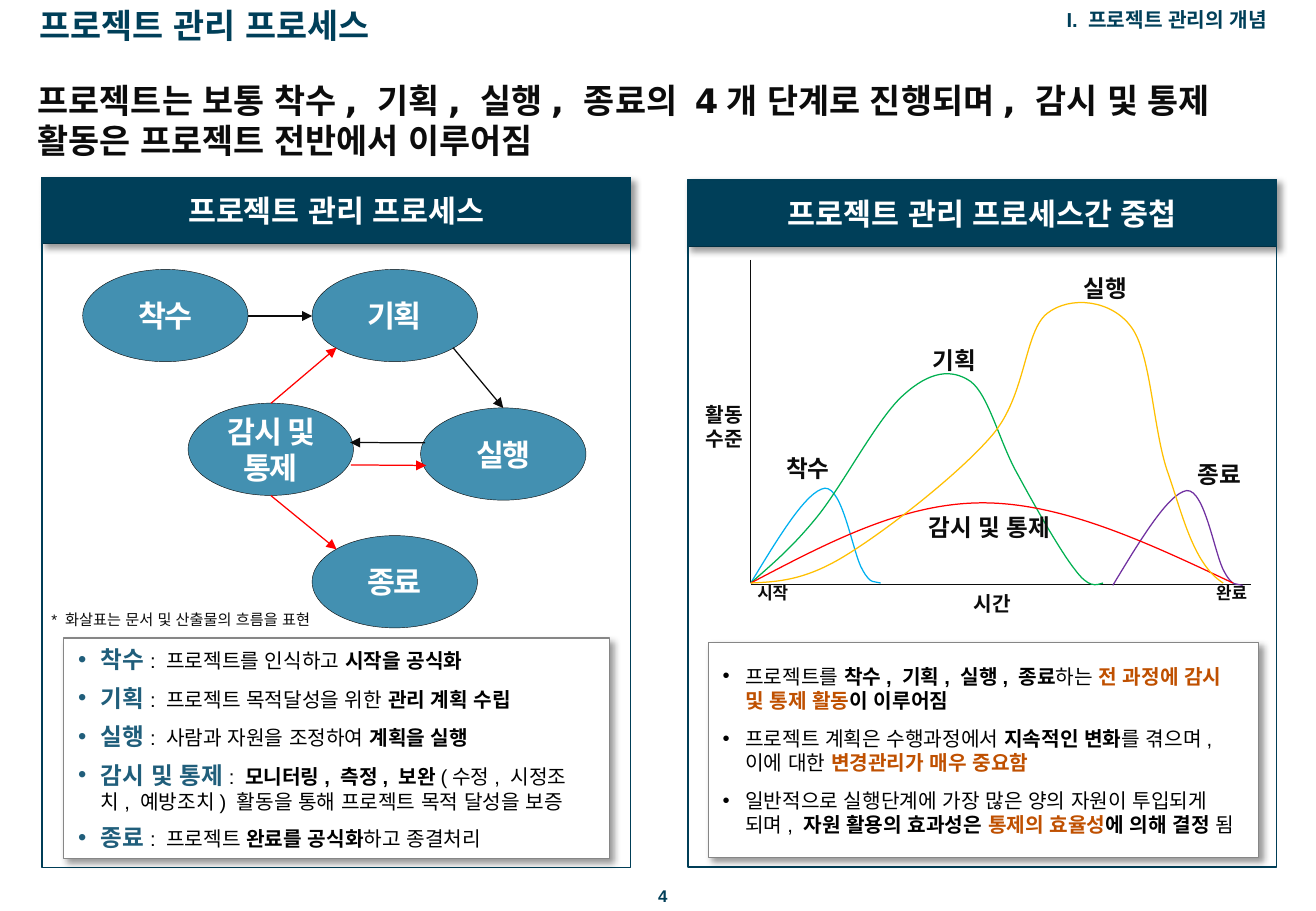
import pptx
import pptx.util
import pptx.dml.color
import pptx.enum.shapes
import pptx.enum.text
from lxml import etree

Pt = pptx.util.Pt
SHAPE = pptx.enum.shapes.MSO_SHAPE
ALIGN = pptx.enum.text.PP_ALIGN
ANCHOR = pptx.enum.text.MSO_ANCHOR
DRAWING = "{http://schemas.openxmlformats.org/drawingml/2006/main}"
KOREAN, LATIN = "Noto Sans CJK KR", "Arial"
NAVY, TEAL, ORANGE = "003F59", "205E7B", "BF5000"
INK, BLACK, WHITE, RED = "0C0C0C", "000000", "FFFFFF", "FF0000"


def color(value):
    return pptx.dml.color.RGBColor.from_string(value)


def add_xml(parent, tag, **attributes):
    return etree.SubElement(parent, DRAWING + tag, attributes)


def style(shape, fill, line, width, shadow=False):
    if fill:
        shape.fill.solid()
        shape.fill.fore_color.rgb = color(fill)
    else:
        shape.fill.background()
    shape.line.color.rgb = color(line)
    shape.line.width = Pt(width)
    shape.shadow.inherit = False
    if shadow:
        effects = shape._element.spPr.find(DRAWING + "effectLst")
        outer = add_xml(effects, "outerShdw", blurRad=str(Pt(4)), dist=str(Pt(3)),
                        dir="2700000", algn="tl", rotWithShape="0")
        add_xml(add_xml(outer, "srgbClr", val=BLACK), "alpha", val="40000")


def add_run(paragraph, text, size, font, ink, bold):
    run = paragraph.add_run()
    run.text = text
    run.font.size, run.font.name, run.font.bold = Pt(size), font, bold
    run.font.color.rgb = color(ink)
    run.font.language_id = pptx.enum.lang.MSO_LANGUAGE_ID.KOREAN
    add_xml(run.font._element, "ea", typeface=LATIN)
    return run


def set_frame(shape, anchor, inset_x=0, inset_y=0):
    frame = shape.text_frame
    frame.word_wrap = True
    frame.vertical_anchor = anchor
    frame.margin_left = frame.margin_right = Pt(inset_x)
    frame.margin_top = frame.margin_bottom = Pt(inset_y)
    return frame


def write(shape, text, size, font=KOREAN, ink=INK, bold=True, align=ALIGN.CENTER,
          anchor=ANCHOR.MIDDLE, inset_x=0, inset_y=0):
    paragraph = set_frame(shape, anchor, inset_x, inset_y).paragraphs[0]
    paragraph.alignment = align
    paragraph.line_spacing = Pt(size * 1.19)
    return add_run(paragraph, text, size, font, ink, bold)


def add_text(slide, box, text, size, **options):
    write(slide.shapes.add_textbox(*map(Pt, box)), text, size, **options)


def add_line(slide, start, end, ink, arrow=False):
    line = slide.shapes.add_connector(
        pptx.enum.shapes.MSO_CONNECTOR.STRAIGHT, *map(Pt, start + end))
    line.line.color.rgb = color(ink)
    line.line.width = Pt(0.75)
    if arrow:
        add_xml(line.line._get_or_add_ln(), "tailEnd", type="triangle")
    add_xml(line._element.spPr, "effectLst")


def add_curve(slide, origin, knots, ink, shift=(0, 0)):
    """Draw chained cubic curves; knots are (right, up) from the origin."""
    points = [(Pt(origin[0] + shift[0] + x), Pt(origin[1] - shift[1] - y)) for x, y in knots]
    builder = slide.shapes.build_freeform(*points[0])
    builder.add_line_segments(points[1:], close=False)
    curve = builder.convert_to_shape()
    # Every three line ends become one cubic segment
    segments = list(curve._element.iter(DRAWING + "lnTo"))
    outline = segments[0].getparent()
    for first in range(0, len(segments), 3):
        cubic = add_xml(outline, "cubicBezTo")
        for segment in segments[first:first + 3]:
            cubic.append(segment[0])
            outline.remove(segment)
    style(curve, None, ink, 0.75)


def add_panel(slide, box, heading, header_height):
    left, top, width, height = box
    header = slide.shapes.add_shape(SHAPE.ROUNDED_RECTANGLE,
                                    *map(Pt, (left, top, width, header_height)))
    header.adjustments[0] = 0
    style(header, NAVY, "002F42", 1, shadow=True)
    write(header, heading, 18, ink=WHITE)
    style(slide.shapes.add_shape(SHAPE.RECTANGLE, *map(Pt, box)), None, "003E57", 1)


def add_notes_box(slide, box, items, gap, bullet_ink):
    """Each item is a list of (text, size, colour, bold) runs."""
    notes = slide.shapes.add_shape(SHAPE.RECTANGLE, *map(Pt, box))
    style(notes, WHITE, "868686", 0.75, shadow=True)
    frame = set_frame(notes, ANCHOR.MIDDLE, 8.5, 5.67)
    for index, item in enumerate(items):
        paragraph = frame.add_paragraph() if index else frame.paragraphs[0]
        paragraph.alignment = ALIGN.LEFT
        paragraph.space_before = Pt(gap)
        properties = paragraph._p.get_or_add_pPr()
        properties.set("marL", str(Pt(13.5)))
        properties.set("indent", str(-Pt(13.5)))
        properties.set("hangingPunct", "0")
        add_xml(add_xml(properties, "buClr"), "srgbClr", val=bullet_ink)
        add_xml(properties, "buFont", typeface=LATIN)
        add_xml(properties, "buChar", char="•")
        for text, size, ink, bold in item:
            add_run(paragraph, text, size, LATIN, ink, bold)


def plain(text):
    return text, 12, BLACK, False


def strong(text, ink=BLACK):
    return text, 12, ink, True


def term(text):
    return text, 14, TEAL, True


def draw_heading(slide, box):
    left, top, width, _ = box
    add_text(slide, (left + 16.2, top + 3.2, 426, 24.5), "프로젝트 관리 프로세스", 20, font=LATIN,
             ink=NAVY, align=ALIGN.LEFT, anchor=ANCHOR.TOP, inset_x=7.2)
    add_text(slide, (left + width - 313.5, top + 4.3, 291.6, 14.4), "I. 프로젝트 관리의 개념", 12,
             font=LATIN, ink=NAVY, align=ALIGN.RIGHT, anchor=ANCHOR.TOP, inset_x=7.2)
    add_text(slide, (left + 15.1, top + 44, 746, 55.4),
             "프로젝트는 보통 착수, 기획, 실행, 종료의 4개 단계로 진행되며, 감시 및 통제 활동은 "
             "프로젝트 전반에서 이루어짐", 20, font="DejaVu Sans", align=ALIGN.LEFT,
             anchor=ANCHOR.TOP, inset_x=7.2, inset_y=3.6)


def draw_process(slide, box):
    left, top = box[:2]
    add_panel(slide, box, "프로젝트 관리 프로세스", 39)

    # Stages
    for stage, x, y in (("착수", 24.2, 54.4), ("기획", 160.2, 54.4), ("감시 및 통제", 86.7, 133.7),
                        ("실행", 224.5, 136.5), ("종료", 160.2, 212.2)):
        oval = slide.shapes.add_shape(SHAPE.OVAL, *map(Pt, (left + x, top + y, 98, 54.7)))
        style(oval, "4390B1", INK, 0.25)
        write(oval, stage, 18, ink=WHITE).font._element.set("spc", "-100")

    # Document flows
    for x1, y1, x2, y2, ink in (
            (122.2, 82, 160.2, 82, INK), (227.2, 157.2, 182.7, 157, INK),
            (243.7, 100.8, 273.5, 136.6, INK), (135.8, 133.8, 174.7, 100.8, RED),
            (183.2, 170.3, 227.8, 170.6, RED), (135.8, 188.5, 174.7, 220.3, RED)):
        add_line(slide, (left + x1, top + y1), (left + x2, top + y2), ink, arrow=True)
    add_text(slide, (left, top + 253.8, 221, 16.6), "* 화살표는 문서 및 산출물의 흐름을 표현", 9,
             font=LATIN, bold=False, align=ALIGN.LEFT, inset_x=5.67, inset_y=2.8)

    # Stage definitions
    add_notes_box(slide, (left + 13, top + 272.8, 323.3, 131), [
        [term("착수"), plain(": 프로젝트를 인식하고 "), strong("시작을 공식화")],
        [term("기획"), plain(": 프로젝트 목적달성을 위한 "), strong("관리 계획 수립")],
        [term("실행"), plain(": 사람과 자원을 조정하여 "), strong("계획을 실행")],
        [term("감시 및 통제"), plain(": "), strong("모니터링, 측정, 보완"),
         plain("(수정, 시정조치, 예방조치) 활동을 통해 프로젝트 목적 달성을 보증")],
        [term("종료"), plain(": 프로젝트 "), strong("완료를 공식화"), plain("하고 종결처리")],
    ], 6, TEAL)


def draw_overlap(slide, box):
    left, top = box[:2]
    add_panel(slide, box, "프로젝트 관리 프로세스간 중첩", 39.5)

    # Axes
    x0, y0 = origin = (left + 37.3, top + 239)
    add_line(slide, (x0, y0 - 191.5), origin, INK)
    add_line(slide, (x0, y0 + 0.7), (x0 + 296.6, y0 + 0.7), INK)

    # Activity curves
    short_phase = [(0, 0), (16.6, 27.4), (33.1, 54.7), (43.9, 56.2), (54.7, 56.9),
                   (60.5, 17.3), (66.2, 7.9), (71.3, -1.4), (73.4, 1.4), (77, 0)]
    planning = [(0, 0), (12.2, 10.8), (24.5, 20.9), (39.6, 39.6), (54.7, 58.3), (75.6, 98.6),
                (90.7, 111.6), (105.8, 125.3), (118.8, 127.4), (130.3, 119.5),
                (141.1, 111.6), (147.6, 82.8), (158.4, 64.1), (168.5, 45.4), (183.6, 18.7),
                (192.2, 7.9), (200.2, -2.9), (204.5, -1.4), (208.8, 0)]
    control = [(0, 0), (45.4, 23.8), (90, 47.5), (137.5, 47.5), (185, 47.5), (235.4, 23.8),
               (285.8, 0)]
    execution = [(0, 0), (15.8, 0.7), (31.7, 1.4), (55.4, 15.8), (79.2, 30.2), (123.1, 64.1),
                 (143.3, 87.8), (163.4, 111.6), (162, 149), (175.7, 159.8), (189.4, 170.6),
                 (213.8, 167.8), (225.4, 151.9), (237.6, 136.1), (238.3, 89.3),
                 (247.7, 64.1), (256.3, 38.9), (262.8, 10.8), (280, 0)]
    add_curve(slide, origin, short_phase, "00B0F0")
    add_curve(slide, origin, short_phase, "7030A0", shift=(214.6, -1.4))
    for knots, ink in ((planning, "00B050"), (control, RED), (execution, "FFC000")):
        add_curve(slide, origin, knots, ink)

    # Labels, centred on (right, up) from the origin
    for label, x, y, size, width in (
            ("시작", 13, -6.1, 10, 49), ("완료", 285, -6.1, 10, 49), ("시간", 143, -12.4, 12, 49),
            ("활동 수준", -15.8, 92.8, 12, 36), ("착수", 33.8, 68.4, 14, 49),
            ("기획", 120.6, 132.3, 14, 49), ("실행", 210, 174.8, 14, 49),
            ("종료", 277.6, 64.7, 14, 49), ("감시 및 통제", 141.5, 33.1, 14, 95)):
        height = 36 if width == 36 else 18
        add_text(slide, (x0 + x - width / 2, y0 - y - height / 2, width, height), label, size)

    # Key messages
    add_notes_box(slide, (left + 12.1, top + 274.4, 326.2, 127.4), [
        [plain("프로젝트를 "), strong("착수, 기획, 실행, 종료"), plain("하는 "),
         strong("전 과정에 감시 및 통제 활동", ORANGE), strong("이 이루어짐")],
        [plain("프로젝트 계획은 수행과정에서 "), strong("지속적인 변화"),
         plain("를 겪으며, 이에 대한 "), strong("변경관리가 매우 중요함", ORANGE)],
        [plain("일반적으로 실행단계에 가장 많은 양의 자원이 투입되게 되며, "),
         strong("자원 활용의 효과성은 "), strong("통제의 효율성", ORANGE),
         strong("에 의해 결정"), plain(" 됨")],
    ], 8, BLACK)


def main():
    deck = pptx.Presentation()
    deck.slide_width, deck.slide_height = Pt(780), Pt(540)
    slide = deck.slides.add_slide(deck.slide_layouts[6])
    draw_heading(slide, (0, 0, 780, 100))
    draw_process(slide, (24.8, 105.3, 349, 409))
    draw_overlap(slide, (407.7, 106.6, 349, 407.5))
    add_text(slide, (382.8, 524.9, 20, 12.2), "4", 10, font=LATIN, ink=NAVY)
    deck.save("out.pptx")


import pptx.enum.lang

if __name__ == "__main__":
    main()
